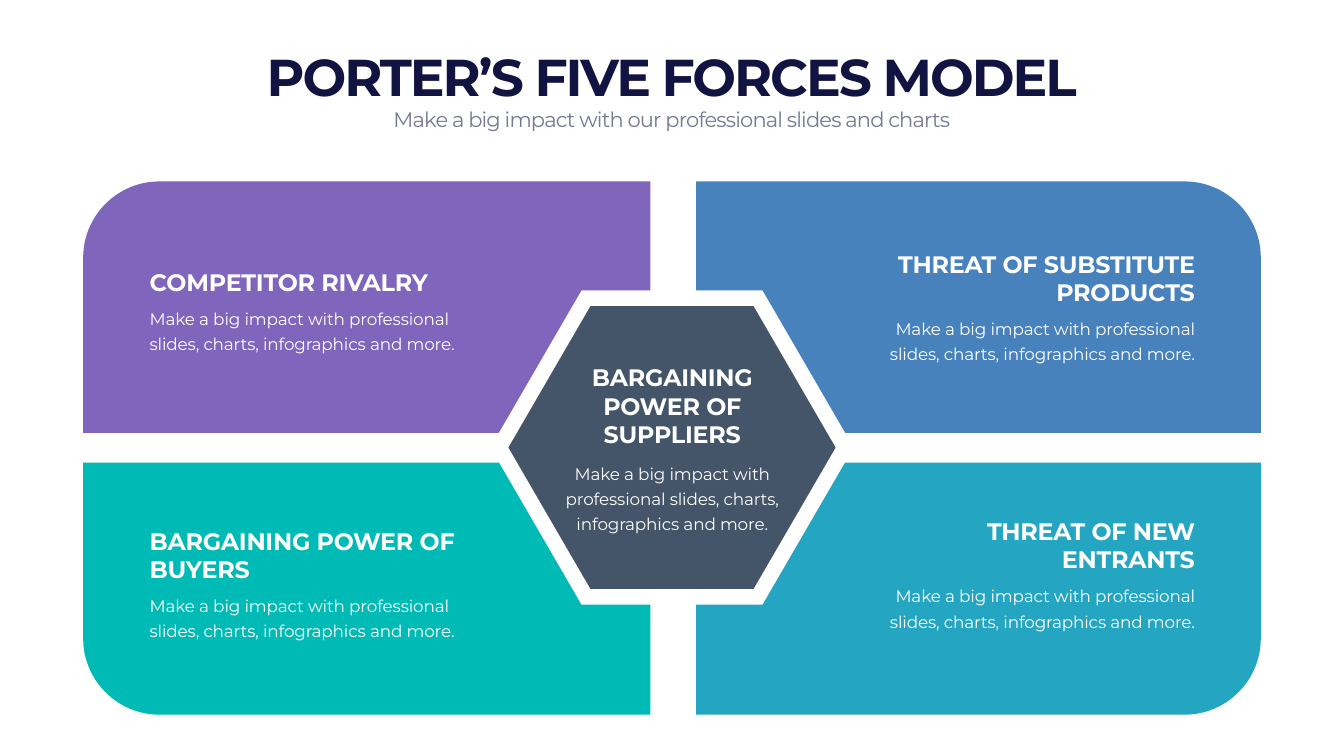
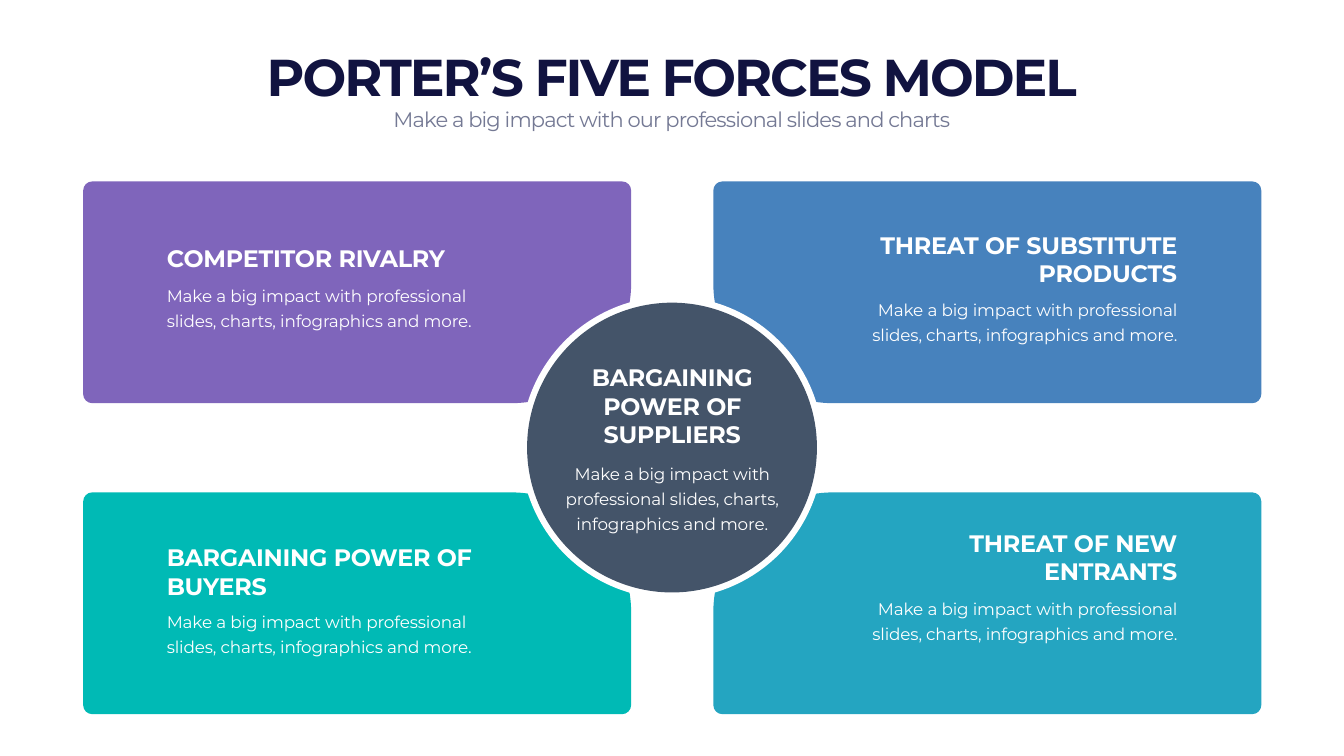
from dataclasses import dataclass
from typing import NamedTuple, Optional

from lxml.etree import SubElement
from pptx import Presentation
from pptx.dml.color import RGBColor as RGB
from pptx.enum.shapes import MSO_SHAPE as Kind
from pptx.enum.text import MSO_ANCHOR as Anchor, MSO_AUTO_SIZE as Fit, PP_ALIGN as Align
from pptx.oxml.ns import qn
from pptx.util import Inches, Pt


class Type(NamedTuple):
    """A text style: size, tracking, colour and weight."""
    size: int
    track: float
    tint: str
    bold: bool = False


@dataclass(frozen=True)
class Theme:
    """Colours, font and type sizes of the deck."""
    font: str = "Montserrat"
    white: str = "FFFFFF"
    slate: str = "445469"
    violet: str = "7F65BB"
    blue: str = "4782BD"
    teal: str = "00BAB5"
    cyan: str = "24A5C1"
    title: Type = Type(74, -2.9, "111340", True)
    lead: Type = Type(30, -1.2, "747994")
    head: Type = Type(34, -0.3, "FFFFFF", True)
    body: Type = Type(24, -0.2, "FFFFFF")
    pitch: int = 36  # line spacing of body text, points


THEME = Theme()
BLURB = "Make a big impact with professional slides, charts, infographics and more."
MID_X, MID_Y = 13.33, 8.88
BEND = 0.55  # pull of a curve towards its corner
HEADS = {1: (0.67, 0.05), 2: (1.25, 0.04), 3: (1.82, 0.1)}  # rows: height, gap below
BODIES = {2: 1.09, 3: 1.59}  # lines: height


class Box(NamedTuple):
    """A rectangle in inches."""
    left: float
    top: float
    wide: float
    high: float


class Dot(NamedTuple):
    """A point of an outline; a corner makes the way to it a curve."""
    x: float
    y: float
    corner: Optional[tuple[float, float]] = None


class Force(NamedTuple):
    """One outer force and the quarter of the slide it fills."""
    name: str
    tint: str
    east: bool
    south: bool
    rows: int  # heading lines the box is set up for


FORCES = (
    Force("COMPETITOR RIVALRY", THEME.violet, False, False, 1),
    Force("THREAT OF SUBSTITUTE PRODUCTS", THEME.blue, True, False, 2),
    Force("BARGAINING POWER OF BUYERS", THEME.teal, False, True, 2),
    Force("THREAT OF NEW ENTRANTS", THEME.cyan, True, True, 1),
)


class Plan(NamedTuple):
    """Panel grid and text places of one slide."""
    cols: tuple[tuple[float, float], ...]  # left and width
    rows: tuple[tuple[float, float], ...]  # top and height
    radii: tuple[float, ...]  # clockwise from the outer corner
    text: tuple[float, float]  # text lefts
    tops: tuple[float, ...]  # body tops, in the order of FORCES
    hexed: bool


PLANS = (
    Plan(((1.65, 11.25), (13.81, 11.2)), ((3.6, 4.99), (9.18, 5)), (1.51, 0, 0, 0),
         (2.87, 17.37), (5.97, 6.17, 11.67, 11.48), True),
    Plan(((1.65, 10.87), (14.15, 10.87)), ((3.6, 4.4), (9.77, 4.4)),
         (0.18, 0.18, 2.38, 0.18), (3.21, 17.02), (5.51, 5.79, 11.99, 11.72), False),
)


def place(shape, box: Box) -> None:
    """Move a shape to a box."""
    shape.left, shape.top, shape.width, shape.height = map(Inches, box)


def paint(shape, tint: str) -> None:
    """Fill a shape with one colour, without line or shadow."""
    shape.shadow.inherit = False
    shape.fill.solid()
    shape.fill.fore_color.rgb = RGB.from_string(tint)
    shape.line.fill.background()


def write(shape, text: str, kind: Type, align: Align, base: bool = False):
    """Set one styled run in a shape that grows with it."""
    frame = shape.text_frame
    frame.word_wrap = True
    frame.auto_size = Fit.SHAPE_TO_FIT_TEXT
    frame.vertical_anchor = Anchor.BOTTOM if base else Anchor.TOP
    para = frame.paragraphs[0]
    para.alignment = align
    run = para.add_run()
    run.text = text
    font = run.font
    font.name, font.size, font.bold = THEME.font, Pt(kind.size), kind.bold
    font.color.rgb = RGB.from_string(kind.tint)
    run._r.get_or_add_rPr().set("spc", str(round(kind.track * 100)))
    return para


def label(slide, box: Box, text: str, kind: Type, align: Align, base: bool = False):
    """Add a text box with one paragraph."""
    return write(slide.shapes.add_textbox(*map(Inches, box)), text, kind, align, base)


def header(slide) -> None:
    """Set the title and the line under it."""
    title = slide.shapes.title
    place(title, Box(1.66, 0.82, 23.33, 1.35))
    write(title, "PORTER’S FIVE FORCES MODEL", THEME.title, Align.CENTER, True)
    label(slide, Box(1.66, 2.07, 23.33, 0.61),
          "Make a big impact with our professional slides and charts",
          THEME.lead, Align.CENTER)


def outline(wide: float, high: float, radii: tuple[float, ...]) -> list[Dot]:
    """Give the outline of a box whose corners each have a radius."""
    spots = ((0, 0, 1, 1), (wide, 0, -1, 1), (wide, high, -1, -1), (0, high, 1, -1))
    dots = []
    for turn, ((x, y, dx, dy), r) in enumerate(zip(spots, radii)):
        if not r:
            dots.append(Dot(x, y))
            continue
        ends = [(x, y + r * dy), (x + r * dx, y)]
        start, stop = ends[::-1] if turn % 2 else ends
        dots += [Dot(*start), Dot(*stop, (x, y))]
    return dots


def bend(shape, dots: list[Dot]) -> None:
    """Turn the lines that cut a rounded corner into curves."""
    trace = shape._element.find(".//" + qn("a:path"))
    for i, (step, dot) in enumerate(zip(list(trace), dots)):
        if not dot.corner:
            continue
        step.tag = qn("a:cubicBezTo")
        for at, end in enumerate((dots[i - 1], dot)):
            x, y = (e + BEND * (c - e) for e, c in zip(end[:2], dot.corner))
            pull = SubElement(step, qn("a:pt"), x=str(Inches(x)), y=str(Inches(y)))
            step.insert(at, pull)


def panel(slide, plan: Plan, force: Force) -> None:
    """Draw a panel, mirrored into its quarter of the slide."""
    left, wide = plan.cols[force.east]
    top, high = plan.rows[force.south]

    def flip(x: float, y: float) -> tuple[float, float]:
        """Mirror a point of the upper left panel."""
        return wide - x if force.east else x, high - y if force.south else y

    dots = [Dot(*flip(d.x, d.y), flip(*d.corner) if d.corner else None)
            for d in outline(wide, high, plan.radii)]
    spots = [(Inches(left + d.x), Inches(top + d.y)) for d in dots]
    pen = slide.shapes.build_freeform(*spots[0])
    pen.add_line_segments(spots[1:], close=True)
    shape = pen.convert_to_shape()
    bend(shape, dots)
    paint(shape, force.tint)


def core(slide, kind: Kind, wide: float, high: float, tint: str):
    """Draw a shape about the middle of the model."""
    box = Box(MID_X - wide / 2, MID_Y - high / 2, wide, high)
    shape = slide.shapes.add_shape(kind, *map(Inches, box))
    paint(shape, tint)
    return shape


def hexagon(slide) -> None:
    """Draw the central hexagon with a thick, sharp white edge."""
    shape = core(slide, Kind.HEXAGON, 6.85, 5.93, THEME.slate)
    shape.adjustments[0] = 0.29
    shape.line.color.rgb = RGB.from_string(THEME.white)
    shape.line.width = Pt(22)
    SubElement(shape.line._get_or_add_ln(), qn("a:miter"), lim="800000")


def disc(slide) -> None:
    """Draw the central disc on its white ring."""
    for size, tint in ((6, THEME.white), (5.75, THEME.slate)):
        core(slide, Kind.OVAL, size, size, tint)


def note(slide, left: float, top: float, wide: float, name: str, align: Align,
         rows: int, lines: int = 2) -> None:
    """Add a heading that ends just above its body text."""
    high, gap = HEADS[rows]
    label(slide, Box(left, top - gap - high, wide, high), name, THEME.head, align, True)
    para = label(slide, Box(left, top, wide, BODIES[lines]), BLURB, THEME.body, align)
    para.line_spacing = Pt(THEME.pitch)


def model(deck, plan: Plan) -> None:
    """Build one five forces slide."""
    slide = deck.slides.add_slide(deck.slide_layouts[5])
    header(slide)
    for force in FORCES:
        panel(slide, plan, force)
    if plan.hexed:
        hexagon(slide)
    else:
        disc(slide)
    for force, top in zip(FORCES, plan.tops):
        align = Align.RIGHT if force.east else Align.LEFT
        note(slide, plan.text[force.east], top, 6.43, force.name, align, force.rows)
    note(slide, 11, 9.05, 4.67, "BARGAINING POWER OF SUPPLIERS", Align.CENTER,
         rows=3, lines=3)


def main() -> None:
    """Build and save the deck."""
    deck = Presentation()
    deck.slide_width, deck.slide_height = Inches(26.66), Inches(15)
    for plan in PLANS:
        model(deck, plan)
    deck.save("out.pptx")


main()
